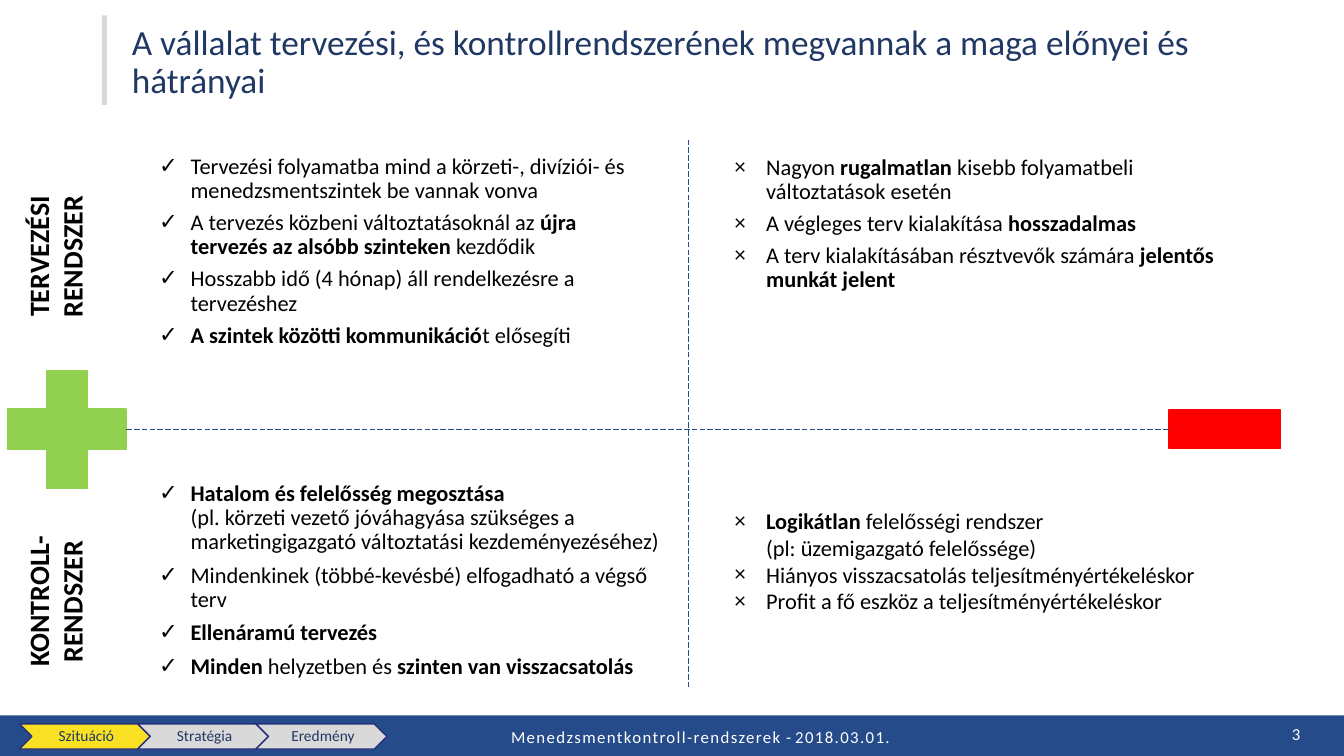
from lxml import etree
from pptx import Presentation
from pptx.dml.color import RGBColor
from pptx.enum import dml, shapes, text
from pptx.oxml.ns import qn
from pptx.util import Pt

NAVY = RGBColor(0x20, 0x38, 0x64)
BLUE = RGBColor(0x25, 0x4B, 0x8A)
INDIGO = RGBColor(0x28, 0x2F, 0x7C)
GREY = RGBColor(0xD9, 0xD9, 0xD9)
YELLOW = RGBColor(0xFA, 0xE0, 0x22)
GREEN = RGBColor(0x92, 0xD0, 0x50)
RED = RGBColor(0xFF, 0x00, 0x00)
WHITE = RGBColor(0xFF, 0xFF, 0xFF)
BLACK = RGBColor(0x00, 0x00, 0x00)

SHAPE = shapes.MSO_SHAPE
ALIGN = text.PP_ALIGN
MIDDLE = text.MSO_ANCHOR.MIDDLE

prs = Presentation()
prs.slide_width, prs.slide_height = Pt(960), Pt(540)
s = prs.slides.add_slide(prs.slide_layouts[6])


def add_block(kind, x, y, w, h, fill, line=None):
    sp = s.shapes.add_shape(kind, Pt(x), Pt(y), Pt(w), Pt(h))
    sp.shadow.inherit = False
    sp.fill.solid()
    sp.fill.fore_color.rgb = fill
    if line is None:
        sp.line.fill.background()
    else:
        sp.line.color.rgb = line
        sp.line.width = Pt(1)
    return sp


def style(p, size, color, bold=None):
    for r in p.runs:
        r.font.name = "Calibri"
        r.font.size = Pt(size)
        r.font.color.rgb = color
        if bold is not None:
            r.font.bold = bold


add_block(SHAPE.RECTANGLE, 0, 511, 960, 29, BLUE)
add_block(SHAPE.RECTANGLE, 72.7, 11, 3.6, 64, GREY)
plus = add_block(SHAPE.CROSS, 5.5, 264.5, 84.5, 84.5, GREEN, GREEN)
plus.adjustments[0] = 0.328
minus = add_block(SHAPE.RECTANGLE, 835, 293, 79.5, 27.5, RED, RED)

labels = [
    (87.1, 14.4, 840, 64, 25.2, NAVY, ALIGN.LEFT, text.MSO_ANCHOR.TOP,
     "A vállalat tervezési, és kontrollrendszerének megvannak a maga előnyei és hátrányai"),
    (720, 510.5, 216, 29, 12, WHITE, ALIGN.RIGHT, MIDDLE, "3"),
]
for x, y, w, h, size, color, align, anchor, words in labels:
    tf = s.shapes.add_textbox(Pt(x), Pt(y), Pt(w), Pt(h)).text_frame
    tf.word_wrap = True
    tf.vertical_anchor = anchor
    tf.text = words
    p = tf.paragraphs[0]
    p.alignment = align
    p.line_spacing = 0.9
    style(p, size, color)

# Asterisks switch bold on and off
quadrants = [
    (106.6, 107.3, 358.5, 150, "✓", 0.9, 5.6, [
        "Tervezési folyamatba mind a körzeti-, divíziói- és menedzsmentszintek be vannak vonva",
        "A tervezés közbeni változtatásoknál az *újra tervezés az alsóbb szinteken *kezdődik",
        "Hosszabb idő (4 hónap) áll rendelkezésre a tervezéshez",
        "*A szintek közötti kommunikáció*t elősegíti"]),
    (517.7, 108, 358.5, 108, "×", 0.9, 5.6, [
        "Nagyon *rugalmatlan* kisebb folyamatbeli változtatások esetén",
        "A végleges terv kialakítása *hosszadalmas*",
        "A terv kialakításában résztvevők számára *jelentős munkát jelent*"]),
    (106.6, 340.6, 381.6, 150.5, "✓", 0.9, 6.7, [
        "*Hatalom és felelősség megosztása *\n(pl. körzeti vezető jóváhagyása szükséges a "
        "marketingigazgató változtatási kezdeményezéséhez)",
        "Mindenkinek (többé-kevésbé) elfogadható a végső terv",
        "*Ellenáramú tervezés*",
        "*Minden* helyzetben és *szinten van visszacsatolás*"]),
    (517.7, 358.6, 357, 85, "×", 1.0, 0, [
        "*Logikátlan* felelősségi rendszer \n(pl: üzemigazgató felelőssége)",
        "Hiányos visszacsatolás teljesítményértékeléskor",
        "Profit a fő eszköz a teljesítményértékeléskor"]),
]
for x, y, w, h, mark, spacing, after, points in quadrants:
    tf = s.shapes.add_textbox(Pt(x), Pt(y), Pt(w), Pt(h)).text_frame
    tf.word_wrap = True
    for i, point in enumerate(points):
        p = tf.paragraphs[0] if i == 0 else tf.add_paragraph()
        p.line_spacing = spacing
        p.space_after = Pt(after)
        pPr = p._p.get_or_add_pPr()
        pPr.set("marL", str(Pt(22.5)))
        pPr.set("indent", str(-Pt(22.5)))
        etree.SubElement(pPr, qn("a:buFont")).set("typeface", "Calibri")
        etree.SubElement(pPr, qn("a:buChar")).set("char", mark)
        for j, part in enumerate(point.split("*")):
            for k, words in enumerate(part.split("\n")):
                if k:
                    p.add_line_break()
                if words:
                    r = p.add_run()
                    r.text = words
                    r.font.bold = j % 2 == 1
        style(p, 16, BLACK)

for y, h, words in [(134, 98.5, "TERVEZÉSI\nRENDSZER"), (378.7, 102, "KONTROLL-\nRENDSZER")]:
    tf = s.shapes.add_textbox(Pt(11.5), Pt(y), Pt(63.4), Pt(h)).text_frame
    tf.word_wrap = False
    tf._txBody.bodyPr.set("vert", "vert270")
    tf.text = words
    for p in tf.paragraphs:
        p.alignment = ALIGN.CENTER
        style(p, 20, BLACK, True)

for i, (step, fill) in enumerate([("Szituáció", YELLOW), ("Stratégia", GREY), ("Eredmény", GREY)]):
    sp = add_block(SHAPE.CHEVRON, 13.9 + 84.5 * i, 517, 93.5, 18, fill, INDIGO)
    tf = sp.text_frame
    tf.margin_left = Pt(3.6)
    tf.margin_right = tf.margin_top = tf.margin_bottom = Pt(1.4)
    tf.vertical_anchor = MIDDLE
    tf.text = step
    p = tf.paragraphs[0]
    p.alignment = ALIGN.CENTER
    p.line_spacing = 0.9
    style(p, 11, NAVY)

tf = s.shapes.add_textbox(Pt(358), Pt(512), Pt(407), Pt(29)).text_frame
tf.word_wrap = True
tf.vertical_anchor = MIDDLE
p = tf.paragraphs[0]
for words, tracking in [("Menedzsmentkontroll-rendszerek", 100), (" - ", 0), ("2018.03.01.", 100)]:
    r = p.add_run()
    r.text = words
    r.font._element.set("spc", str(tracking))
style(p, 12, WHITE)

axes = []
for x1, y1, x2, y2 in [(90, 306.75, 835, 306.75), (491.8, 491, 491.8, 99.4)]:
    cx = s.shapes.add_connector(shapes.MSO_CONNECTOR.STRAIGHT, Pt(x1), Pt(y1), Pt(x2), Pt(y2))
    cx.line.color.rgb = BLUE
    cx.line.width = Pt(0.5)
    cx.line.dash_style = dml.MSO_LINE.LONG_DASH
    etree.SubElement(cx._element.spPr, qn("a:effectLst"))
    axes.append(cx)
axes[0].end_connect(minus, 1)

prs.save("out.pptx")
